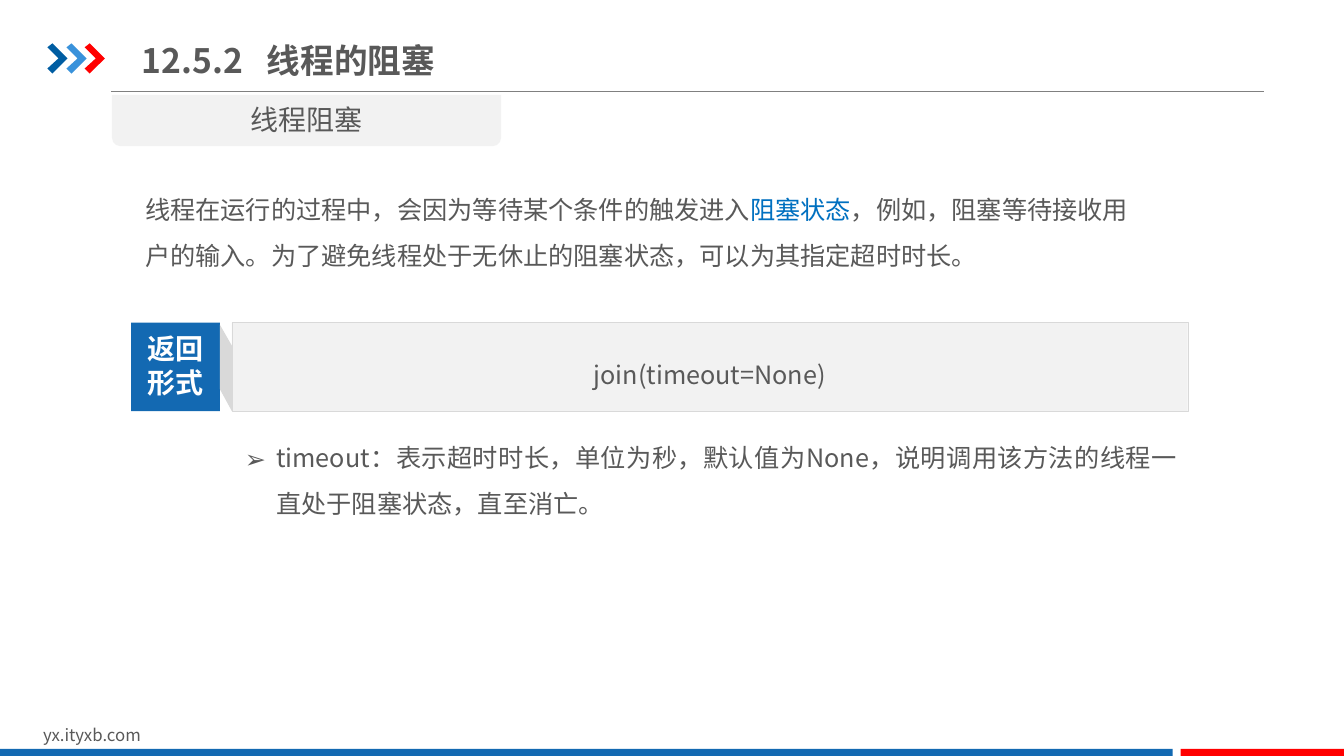
from lxml import etree
from pptx import Presentation
from pptx import util as u
from pptx.dml import color
from pptx.enum import shapes, text
from pptx.oxml import ns

PX = 9144
KIND = shapes.MSO_SHAPE
ALIGN = text.PP_ALIGN
MID = text.MSO_ANCHOR.MIDDLE
GROW = text.MSO_AUTO_SIZE.SHAPE_TO_FIT_TEXT
WIDE = dict(margin_left=13 * PX, margin_right=13 * PX,
            margin_top=7 * PX, margin_bottom=7 * PX)


def rgb(code):
    return color.RGBColor.from_string(code)


def assign(target, values):
    for name, value in values.items():
        setattr(target, name, value)


def child(node, tag, **attrs):
    return etree.SubElement(node, ns.qn(tag), attrs)


class Deck:
    face = "Noto Sans CJK SC"
    gray = "595959"
    pale = "F2F2F2"
    edge = "D9D9D9"
    blue = "1369B2"
    red = "FF0000"

    def __init__(self, wide, high):
        self.prs = Presentation()
        self.prs.slide_width = wide * PX
        self.prs.slide_height = high * PX
        self.slide = self.prs.slides.add_slide(self.prs.slide_layouts[6])
        self.items = self.slide.shapes

    def paint(self, shape, fill, line=None):
        shape.shadow.inherit = False
        shape.fill.solid()
        shape.fill.fore_color.rgb = rgb(fill)
        if line:
            shape.line.color.rgb = rgb(line)
            shape.line.width = u.Pt(0.25)
        else:
            shape.line.fill.background()
        return shape

    def block(self, box, fill, line=None, kind=KIND.RECTANGLE):
        shape = self.items.add_shape(kind, *[n * PX for n in box])
        return self.paint(shape, fill, line)

    def outline(self, points, fill):
        build = self.items.build_freeform(*points[0], scale=PX)
        build.add_line_segments(points[1:], close=True)
        return self.paint(build.convert_to_shape(), fill)

    def rule(self, start, end, tint):
        ends = [n * PX for n in (*start, *end)]
        line = self.items.add_connector(shapes.MSO_CONNECTOR.STRAIGHT, *ends)
        line.line.color.rgb = rgb(tint)
        line.line.width = u.Pt(0.75)
        child(line._element.spPr, "a:effectLst")

    def letter(self, shape, lines, size, tint=gray, bold=False, frame={},
               para={}, bullet=None, tab=None):
        body = shape.text_frame
        assign(body, {"word_wrap": True, **frame})
        for i, runs in enumerate(lines):
            item = body.add_paragraph() if i else body.paragraphs[0]
            assign(item, {"alignment": ALIGN.LEFT, **para})
            props = item._p.get_or_add_pPr()
            if bullet:
                props.set("marL", str(31 * PX))
                props.set("indent", str(-31 * PX))
                child(props, "a:buFont", typeface=self.face)
                child(props, "a:buChar", char=bullet)
            if tab:
                stops = child(props, "a:tabLst")
                child(stops, "a:tab", pos=str(tab * PX), algn="l")
            for words, shade in runs:
                run = item.add_run()
                run.text = words
                assign(run.font, dict(size=u.Pt(size), bold=bold, name=self.face))
                run.font.color.rgb = rgb(shade or tint)
                latin = run._r.rPr.find(ns.qn("a:latin"))
                east = child(run._r.rPr, "a:ea", typeface=self.face)
                latin.addnext(east)

    def label(self, box, lines, size, **style):
        shape = self.items.add_textbox(*[n * PX for n in box])
        self.letter(shape, lines, size, **style)


def main():
    deck = Deck(1333, 750)
    center = dict(alignment=ALIGN.CENTER)
    loose = dict(line_spacing=1.5)

    deck.rule((110, 91), (1254, 91), "808080")
    arrow = [(0, 4), (5, 0), (20, 15), (5, 30), (0, 25), (11, 15)]
    for left, tint in zip((47, 66, 84), ("005DA2", "3992DB", deck.red)):
        deck.outline([(left + x, 43 + y) for x, y in arrow], tint)
    deck.label((33, 714, 318, 30), [[("yx.ityxb.com", None)]], 12,
               frame=dict(auto_size=GROW))
    deck.block((0, 743, 1163, 9), deck.blue)
    deck.block((1171, 743, 163, 9), deck.red)

    tag = deck.block((111, 94, 386, 51), deck.pale,
                     kind=KIND.ROUND_2_SAME_RECTANGLE)
    tag.rotation = 180
    deck.label((111, 97, 386, 44), [[("线程阻塞", None)]], 20,
               frame=dict(auto_size=GROW), para=center)

    deck.label((131, 171, 1006, 143), [[
        ("线程在运行的过程中，会因为等待某个条件的触发进入", None),
        ("阻塞状态", "0070C0"),
        ("，例如，阻塞等待接收用户的输入。为了避免线程处于无休止的阻塞状态，"
         "可以为其指定超时时长。", None),
    ]], 18, frame=WIDE, para=loose)
    deck.label((131, 29, 634, 61), [[("12.5.2\t线程的阻塞", None)]], 24,
               bold=True, frame=dict(vertical_anchor=MID), tab=124)

    call = deck.block((230, 320, 948, 88), deck.pale, deck.edge)
    deck.letter(call, [[("join(timeout=None)", None)]], 18,
                frame=dict(vertical_anchor=MID), para={**center, **loose})
    deck.block((130, 320, 88, 88), deck.blue)
    deck.label((136, 324, 76, 77), [[("返回", None)], [("形式", None)]], 20,
               tint="FFFFFF", bold=True, para=center,
               frame=dict(word_wrap=False, auto_size=GROW))
    deck.outline([(230, 343), (230, 408), (218, 386), (218, 322)], deck.edge)

    deck.label((230, 417, 950, 104), [[
        ("timeout：表示超时时长，单位为秒，默认值为None，"
         "说明调用该方法的线程一直处于阻塞状态，直至消亡。", None),
    ]], 18, frame={**WIDE, "auto_size": GROW},
        para=dict(alignment=ALIGN.JUSTIFY, **loose), bullet="➢")

    deck.prs.save("out.pptx")


if __name__ == "__main__":
    main()
